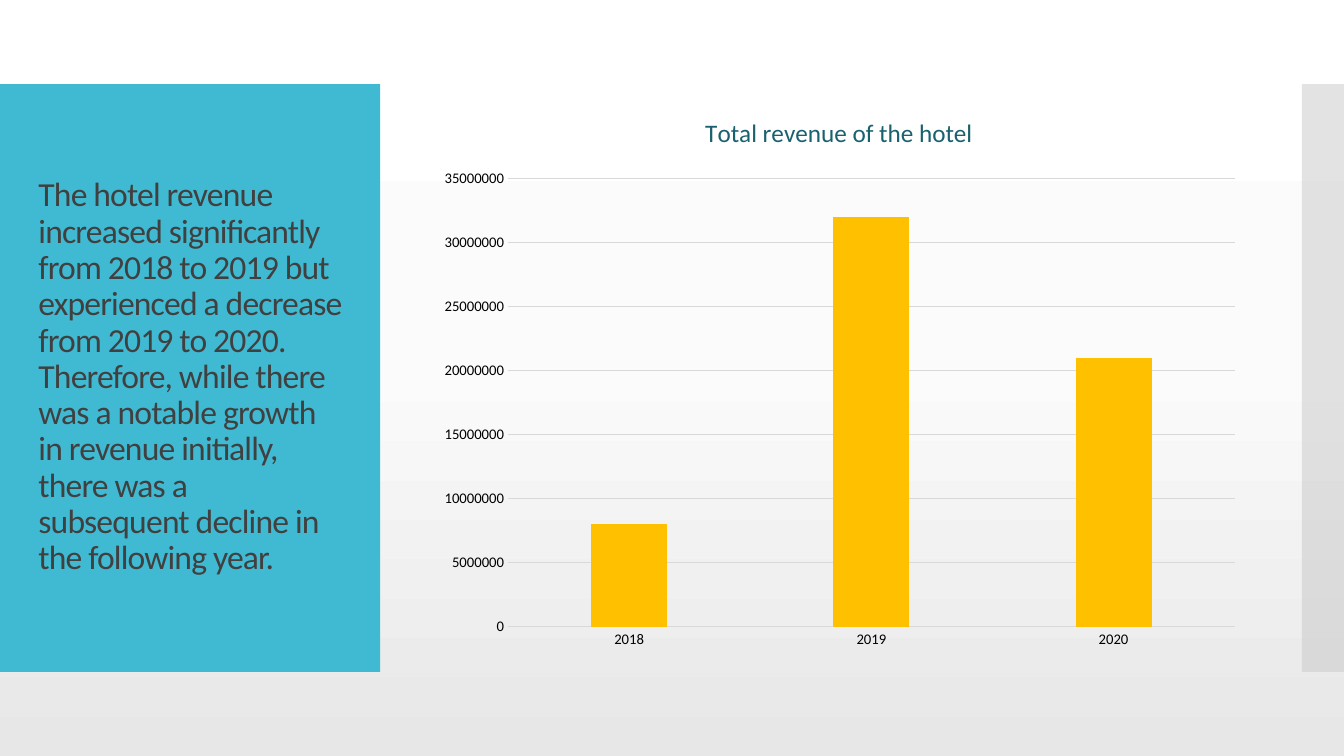
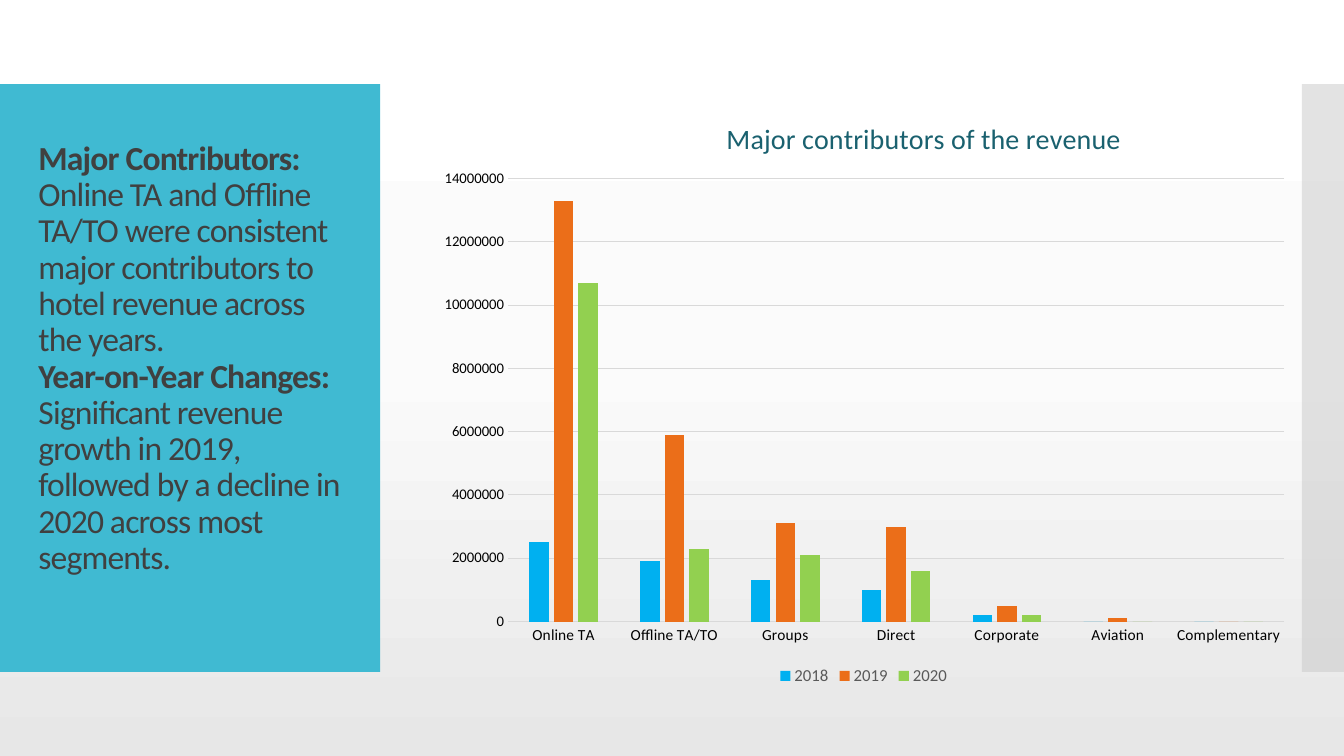
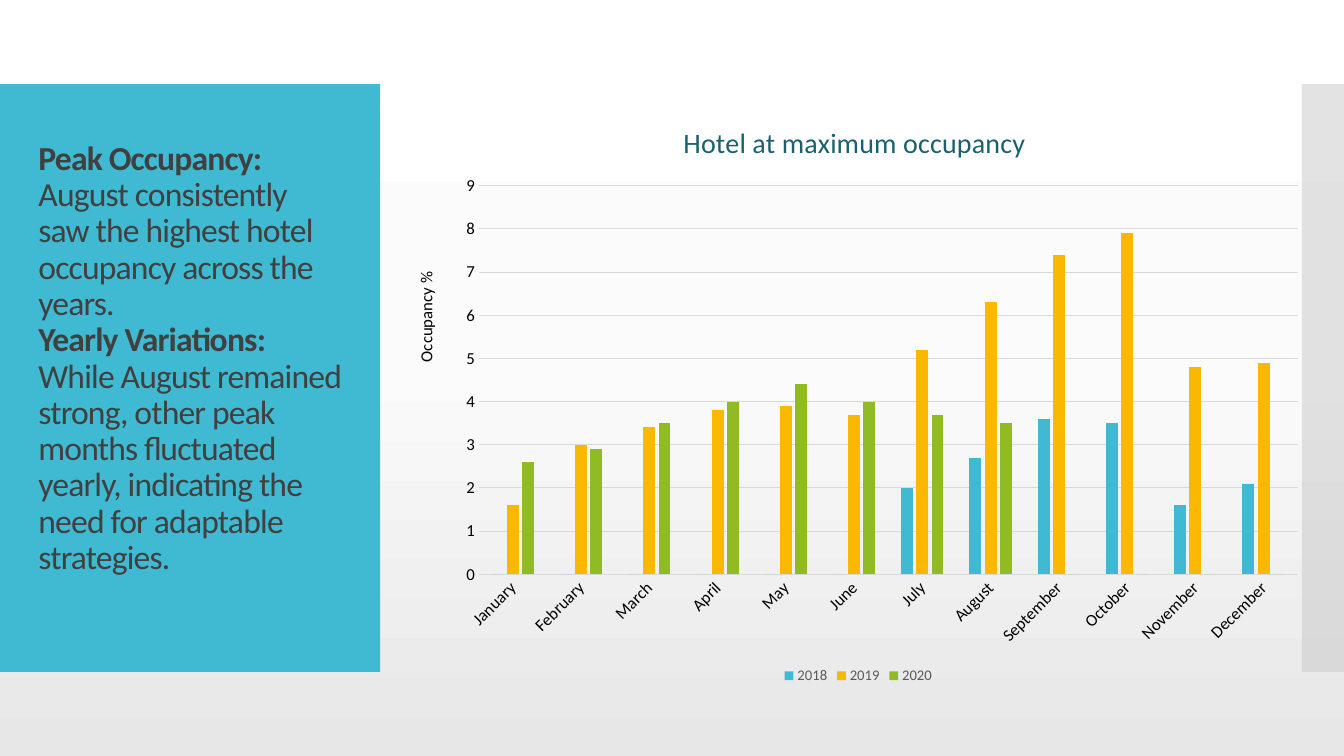
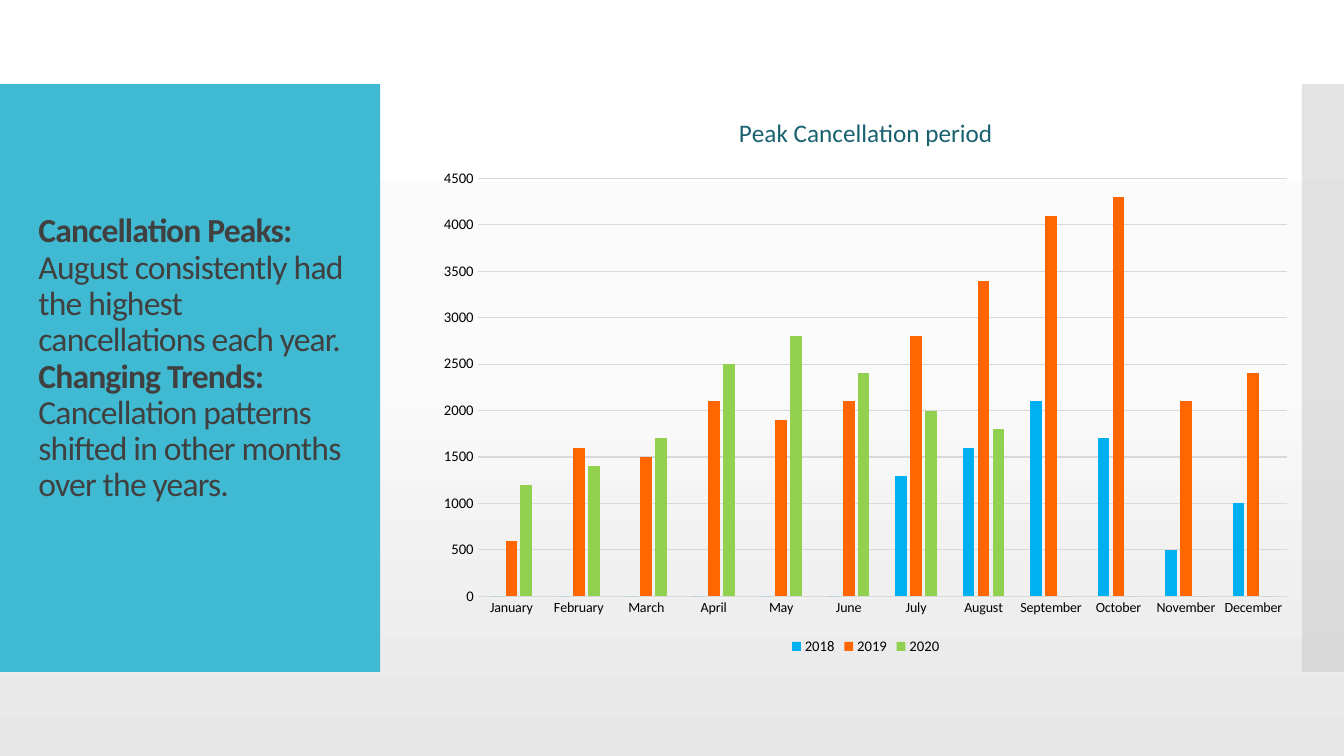
from copy import deepcopy

from pptx import Presentation
from pptx import util as u
from pptx.chart.data import CategoryChartData
from pptx.dml.color import RGBColor
from pptx.enum import chart as charts, shapes, text
from pptx.oxml.ns import qn
from pptx.oxml.xmlchemy import OxmlElement

PX = 9525
FONT = "Calibri"
WHITE = RGBColor(0xFF, 0xFF, 0xFF)
NEAR_WHITE = RGBColor(0xFB, 0xFB, 0xFB)
PALE_GREY = RGBColor(0xE7, 0xE7, 0xE7)
BAR_GREY = RGBColor(0xC8, 0xC8, 0xC8)
GRID_GREY = RGBColor(0xD9, 0xD9, 0xD9)
LEGEND_GREY = RGBColor(0x59, 0x59, 0x59)
TITLE_GREY = RGBColor(0x40, 0x40, 0x40)
BLACK = RGBColor(0x00, 0x00, 0x00)
TEAL = RGBColor(0x40, 0xBA, 0xD2)
DARK_TEAL = RGBColor(0x1A, 0x61, 0x6F)
AMBER = RGBColor(0xFF, 0xC0, 0x00)
GOLD = RGBColor(0xFA, 0xB9, 0x00)
BLUE = RGBColor(0x00, 0xB0, 0xF0)
RUST = RGBColor(0xEB, 0x6E, 0x19)
ORANGE = RGBColor(0xFF, 0x66, 0x00)
LIME = RGBColor(0x92, 0xD0, 0x50)
GREEN = RGBColor(0x90, 0xBB, 0x23)

PANEL_BOX = (0, 80, 362, 560)
EDGE_BOX = (1240, 80, 40, 560)
TITLE_BOX = (27, 118, 309, 483)
TITLE_LINE = 35
INSET = 5
MONTHS = ["January", "February", "March", "April", "May", "June", "July",
          "August", "September", "October", "November", "December"]
YEARS = ["2018", "2019", "2020"]

SLIDES = [
    dict(
        title=[[("The hotel revenue increased significantly from 2018 to 2019 but "
                 "experienced a decrease from 2019 to 2020. Therefore, while there was a "
                 "notable growth in revenue initially, there was a subsequent decline in "
                 "the following year.", False)]],
        chart=dict(
            box=(406, 90, 786, 538), plot_box=(78, 80, 692, 427),
            heading="Total revenue of the hotel", heading_size=18,
            categories=YEARS, category_size=10.5, value_size=10.5,
            maximum=35000000, step=5000000,
            series=[("Series 1", AMBER, [8000000, 32000000, 21000000])]),
    ),
    dict(
        title=[[("Major Contributors:", True),
                (" Online TA and Offline TA/TO were consistent major contributors to "
                 "hotel revenue across the years.", False)],
               [("Year-on-Year Changes:", True),
                (" Significant revenue growth in 2019, followed by a decline in 2020 "
                 "across most segments.", False)]],
        chart=dict(
            box=(406, 90, 833, 567), plot_box=(78, 80, 739, 422),
            heading="Major contributors of the revenue", heading_size=20,
            heading_at=(281, 18),
            categories=["Online TA", "Offline TA/TO", "Groups", "Direct", "Corporate",
                        "Aviation", "Complementary"],
            category_size=11, value_size=10.5, maximum=14000000, step=2000000,
            legend=(12, LEGEND_GREY),
            series=[
                ("2018", BLUE, [2500000, 1900000, 1300000, 1000000, 200000, 0, 0]),
                ("2019", RUST, [13300000, 5900000, 3100000, 3000000, 500000, 100000, 0]),
                ("2020", LIME, [10700000, 2300000, 2100000, 1600000, 200000, 0, 0])]),
    ),
    dict(
        title=[[("Peak Occupancy:", True),
                (" August consistently saw the highest hotel occupancy across the years.",
                 False)],
               [("Yearly Variations:", True),
                (" While August remained strong, other peak months fluctuated yearly, "
                 "indicating the need for adaptable strategies.", False)]],
        chart=dict(
            box=(381, 90, 873, 566), plot_box=(75, 87, 780, 370),
            heading="Hotel at maximum occupancy", heading_size=20, heading_at=(265, 22),
            categories=MONTHS, category_size=12, value_size=12, maximum=9, step=1,
            legend=(10.5, LEGEND_GREY), label_angle=-45,
            value_title="Occupancy %", value_title_at=(11, 166),
            series=[
                ("2018", TEAL, [0, 0, 0, 0, 0, 0, 2, 2.7, 3.6, 3.5, 1.6, 2.1]),
                ("2019", GOLD, [1.6, 3, 3.4, 3.8, 3.9, 3.7, 5.2, 6.3, 7.4, 7.9, 4.8, 4.9]),
                ("2020", GREEN, [2.6, 2.9, 3.5, 4, 4.4, 4, 3.7, 3.5, 0, 0, 0, 0])]),
    ),
    dict(
        title=[[("Cancellation Peaks:", True),
                (" August consistently had the highest cancellations each year.", False)],
               [("Changing Trends:", True),
                (" Cancellation patterns shifted in other months over the years.", False)]],
        chart=dict(
            box=(406, 90, 837, 538), plot_box=(49, 80, 771, 398),
            heading="Peak Cancellation period", heading_size=18,
            categories=MONTHS, category_size=10, value_size=10.5,
            maximum=4500, step=500, legend=(10.5, BLACK),
            series=[
                ("2018", BLUE, [0, 0, 0, 0, 0, 0, 1300, 1600, 2100, 1700, 500, 1000]),
                ("2019", ORANGE, [600, 1600, 1500, 2100, 1900, 2100, 2800, 3400, 4100,
                                  4300, 2100, 2400]),
                ("2020", LIME, [1200, 1400, 1700, 2500, 2800, 2400, 2000, 1800,
                                0, 0, 0, 0])]),
    ),
]


def emu(box):
    return [length * PX for length in box]


def style_font(font, size, color, bold=False):
    font.name = FONT
    font.size = u.Pt(size)
    font.bold = bold
    font.color.rgb = color


def write_text(paragraph, words, size, color, bold=False, spacing=None):
    run = paragraph.add_run()
    run.text = words
    style_font(run.font, size, color, bold)
    if spacing is not None:
        run.font._element.set("spc", str(round(spacing * 100)))


def add_master_band(master, slide, box, color, opacity=None):
    band = slide.shapes.add_shape(shapes.MSO_SHAPE.RECTANGLE, *emu(box))
    band.shadow.inherit = False
    band.fill.solid()
    band.fill.fore_color.rgb = color
    band.line.fill.background()
    if opacity is not None:
        alpha = OxmlElement("a:alpha")
        alpha.set("val", str(opacity * 1000))
        band.element.spPr.find(".//" + qn("a:srgbClr")).append(alpha)
    next_id = max(shape.shape_id for shape in master.shapes) + 1
    band.element.nvSpPr.cNvPr.set("id", str(next_id))
    master.shapes.element.insert(2, band.element)


def set_background(master):
    fill = master.background.fill
    fill.gradient()
    fill.gradient_angle = 270
    stop_list = master.element.find(".//" + qn("a:gsLst"))
    stop_list.append(deepcopy(stop_list[0]))
    stops = [(0, WHITE), (0.48, NEAR_WHITE), (1, PALE_GREY)]
    for stop, (position, color) in zip(fill.gradient_stops, stops):
        stop.position = position
        stop.color.rgb = color


def fill_title(title, sections, box):
    title.left, title.top, title.width, title.height = emu(box)
    frame = title.text_frame
    frame.word_wrap = True
    frame.auto_size = text.MSO_AUTO_SIZE.NONE
    frame.vertical_anchor = text.MSO_ANCHOR.MIDDLE
    frame.margin_bottom = (INSET + TITLE_LINE * (len(sections) > 1)) * PX
    paragraph = frame.paragraphs[0]
    paragraph.alignment = text.PP_ALIGN.LEFT
    paragraph.line_spacing = 0.9
    for index, section in enumerate(sections):
        if index:
            paragraph.add_line_break()
        for words, bold in section:
            write_text(paragraph, words, size=24, color=TITLE_GREY, bold=bold, spacing=-0.6)


def place_in_chart(parent, place, chart_box, inner=False):
    layout = parent.find(qn("c:layout"))
    if layout is not None:
        parent.remove(layout)
    layout = OxmlElement("c:layout")
    manual = OxmlElement("c:manualLayout")
    layout.append(manual)
    sizes = chart_box[2:] * 2
    fractions = [length / size for length, size in zip(place, sizes)]
    settings = [("layoutTarget", "inner")] if inner else []
    settings += [("xMode", "edge"), ("yMode", "edge")]
    settings += [(name, f"{value:.4f}") for name, value in zip("xywh", fractions)]
    for name, value in settings:
        setting = OxmlElement("c:" + name)
        setting.set("val", value)
        manual.append(setting)
    parent.insert(0 if parent.find(qn("c:tx")) is None else 1, layout)


def write_chart_title(title, words, size, color, place, chart_box):
    write_text(title.text_frame.paragraphs[0], words, size=size, color=color)
    if place:
        place_in_chart(title.element, place, chart_box)


def style_axis(axis, size, line_color=None):
    axis.major_tick_mark = axis.minor_tick_mark = charts.XL_TICK_MARK.NONE
    style_font(axis.tick_labels.font, size, BLACK)
    if line_color is None:
        axis.format.line.fill.background()
    else:
        style_line(axis.format.line, line_color)


def style_line(line, color):
    line.color.rgb = color
    line.width = u.Pt(0.75)


def add_column_chart(slide, box, plot_box, heading, heading_size, categories,
                     category_size, value_size, maximum, step, series, heading_at=None,
                     legend=None, label_angle=0, value_title=None, value_title_at=None):
    data = CategoryChartData()
    data.categories = categories
    for name, color, values in series:
        data.add_series(name, values)
    chart = slide.shapes.add_chart(
        charts.XL_CHART_TYPE.COLUMN_CLUSTERED, *emu(box), data).chart
    style_font(chart.font, 10, BLACK)
    chart.has_title = True
    write_chart_title(chart.chart_title, heading, heading_size, DARK_TEAL, heading_at, box)

    plot = chart.plots[0]
    plot.vary_by_categories = False
    plot.gap_width = 219
    plot.overlap = -27
    for column, (name, color, values) in zip(plot.series, series):
        column.format.fill.solid()
        column.format.fill.fore_color.rgb = color
    place_in_chart(chart.element.find(".//" + qn("c:plotArea")), plot_box, box, inner=True)

    style_axis(chart.category_axis, category_size, GRID_GREY)
    labels = chart.category_axis._element.find(qn("c:txPr")).find(qn("a:bodyPr"))
    labels.set("rot", str(label_angle * 60000))
    axis = chart.value_axis
    style_axis(axis, value_size)
    axis.minimum_scale = 0
    axis.maximum_scale = maximum
    axis.major_unit = step
    axis.has_major_gridlines = True
    style_line(axis.major_gridlines.format.line, GRID_GREY)
    if value_title:
        axis.has_title = True
        write_chart_title(axis.axis_title, value_title, 12, BLACK, value_title_at, box)
        body = axis.axis_title.text_frame._txBody.find(qn("a:bodyPr"))
        body.set("rot", str(-90 * 60000))
        body.set("vert", "horz")

    chart.has_legend = legend is not None
    if legend:
        chart.legend.position = charts.XL_LEGEND_POSITION.BOTTOM
        chart.legend.include_in_layout = False
        style_font(chart.legend.font, *legend)


def main():
    presentation = Presentation()
    presentation.slide_width, presentation.slide_height = emu((1280, 720))
    master = presentation.slide_master
    set_background(master)
    title_only = presentation.slide_layouts.get_by_name("Title Only")
    for index, content in enumerate(SLIDES):
        slide = presentation.slides.add_slide(title_only)
        if index == 0:
            add_master_band(master, slide, EDGE_BOX, BAR_GREY, opacity=50)
            add_master_band(master, slide, PANEL_BOX, TEAL)
        fill_title(slide.shapes.title, content["title"], TITLE_BOX)
        add_column_chart(slide, **content["chart"])
    presentation.save("out.pptx")


if __name__ == "__main__":
    main()
